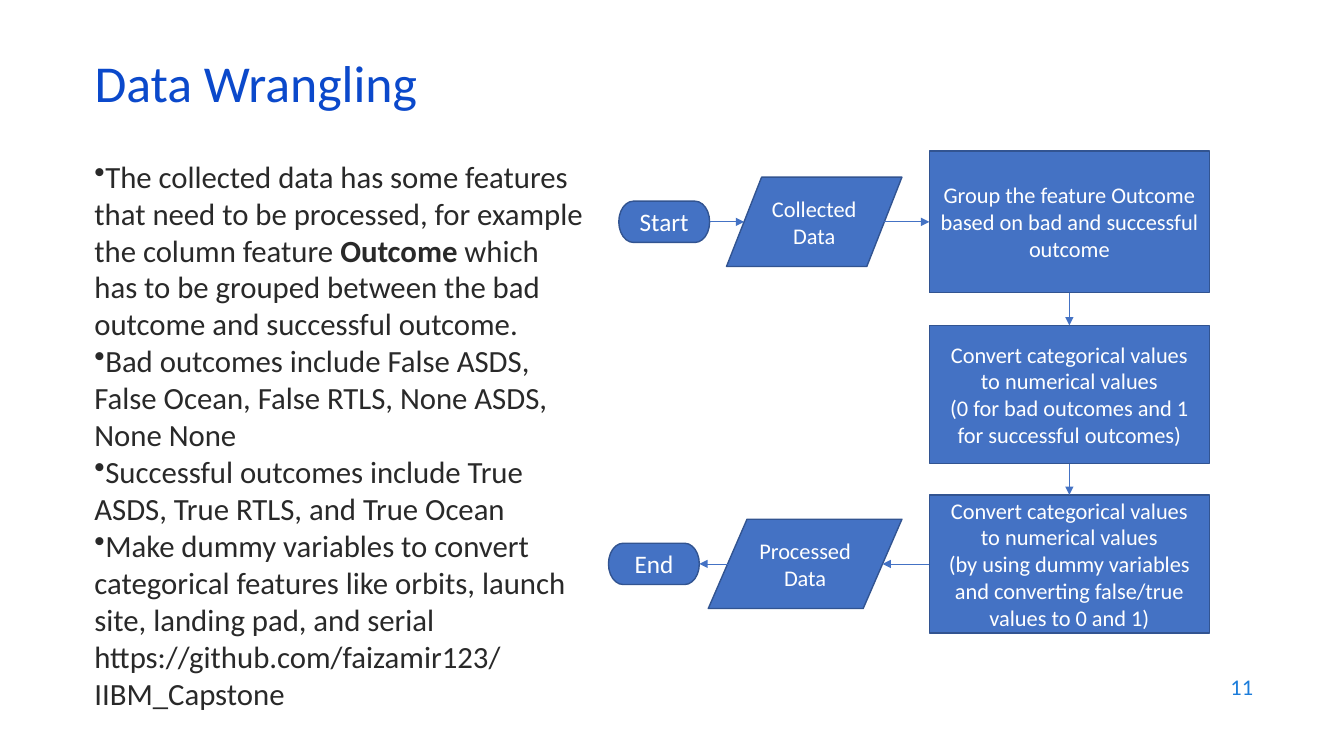
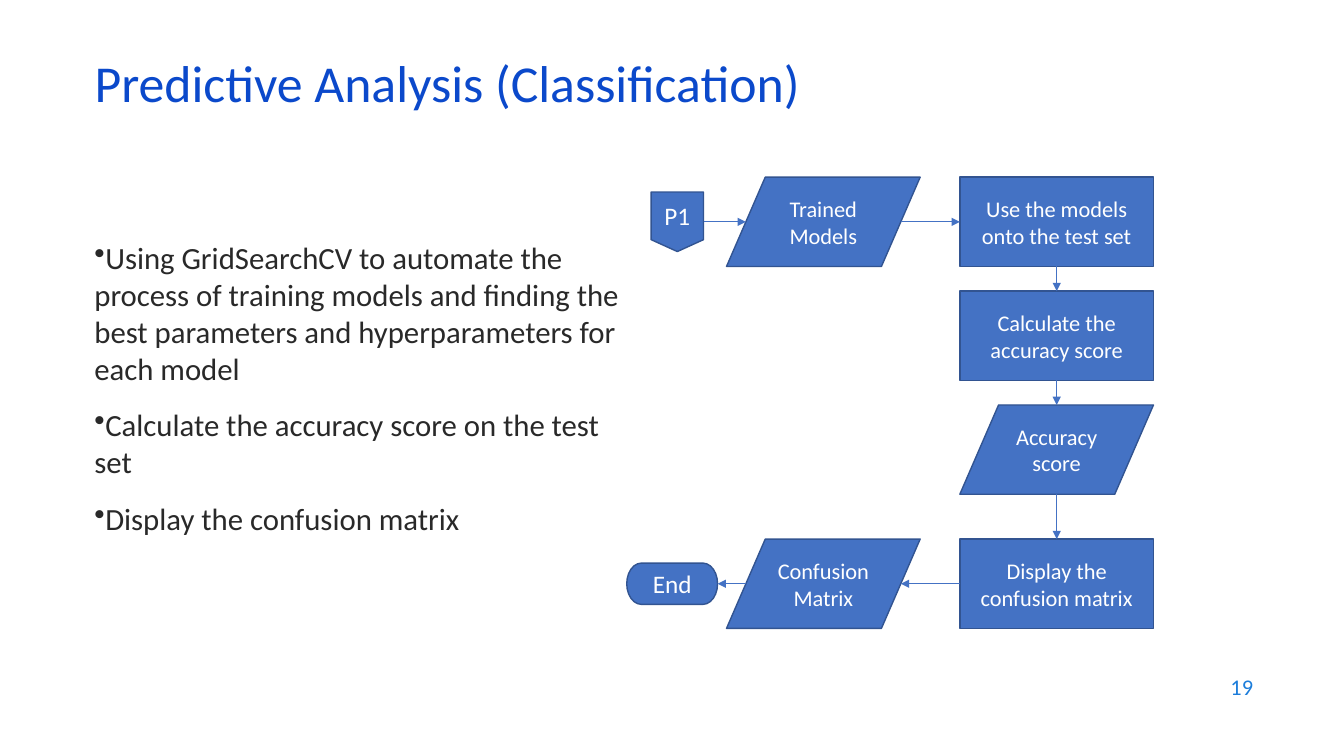
from pptx import Presentation
from pptx.dml.color import RGBColor
from pptx.enum.shapes import MSO_CONNECTOR, MSO_SHAPE
from pptx.enum.text import MSO_ANCHOR, MSO_AUTO_SIZE, PP_ALIGN
from pptx.oxml.ns import qn
from pptx.util import Cm, Pt
from lxml import etree

TERMINATOR = MSO_SHAPE.FLOWCHART_TERMINATOR
DATA = MSO_SHAPE.FLOWCHART_DATA
PROCESS = MSO_SHAPE.FLOWCHART_PROCESS
OFFPAGE = MSO_SHAPE.FLOWCHART_OFFPAGE_CONNECTOR
STRAIGHT = MSO_CONNECTOR.STRAIGHT
MIDDLE, TOP = MSO_ANCHOR.MIDDLE, MSO_ANCHOR.TOP
LEFT, CENTER, RIGHT = PP_ALIGN.LEFT, PP_ALIGN.CENTER, PP_ALIGN.RIGHT
NO_AUTOFIT = MSO_AUTO_SIZE.NONE

TITLE_BLUE = RGBColor(0x0B, 0x49, 0xCB)
NUMBER_BLUE = RGBColor(0x1C, 0x7D, 0xDB)
BODY_GREY = RGBColor(0x29, 0x29, 0x29)
NODE_BLUE = RGBColor(0x44, 0x72, 0xC4)
NODE_EDGE = RGBColor(0x32, 0x54, 0x91)
WHITE = RGBColor(0xFF, 0xFF, 0xFF)

FONT = "Calibri"
TITLE_FONT = {"name": FONT, "size": Pt(37), "color": TITLE_BLUE}
BODY_FONT = {"name": FONT, "size": Pt(22), "color": BODY_GREY}
NUMBER_FONT = {"name": FONT, "size": Pt(16), "color": NUMBER_BLUE}
STEP_FONT = {"name": FONT, "size": Pt(16), "color": WHITE}
END_FONT = {"name": FONT, "size": Pt(18), "color": WHITE}

# Boxes are left, top, width, height in centimetres
TITLE_BOX = (2.13, 1.5, 29.21, 1.52)
NUMBER_BOX = (24.21, 16.74, 7.62, 1.12)

PILL = (2.29, 1.04)
STEP = (4.88, 2.25)
TOP_ROW = 5.59

# Each flow lists its steps in order: kind, centre, size, text lines
SLIDES = [
    {
        "title": "Data Wrangling",
        "number": "11",
        "body_box": (2.13, 3.84, 12.95, 14.45),
        "gap": Pt(0),
        "bullets": [
            ["The collected data has some features that need to be processed, "
             "for example the column feature ", ("Outcome ",),
             "which has to be grouped between the bad outcome and successful outcome."],
            ["Bad outcomes include False ASDS, False Ocean, False RTLS, None ASDS, None None"],
            ["Successful outcomes include True ASDS, True RTLS, and True Ocean"],
            ["Make dummy variables to convert categorical features like orbits, "
             "launch site, landing pad, and serial"],
        ],
        "link": "https://github.com/faizamir123/IIBM_Capstone",
        "flow": [
            (TERMINATOR, (16.74, TOP_ROW), PILL, ["Start"]),
            (DATA, (20.52, TOP_ROW), (4.42, 2.25), ["Collected Data"]),
            (PROCESS, (26.95, TOP_ROW), (7.06, 3.57),
             ["Group the feature Outcome based on bad and successful outcome"]),
            (PROCESS, (26.95, 9.94), (7.06, 3.48),
             ["Convert categorical values to numerical values",
              "(0 for bad outcomes and 1 for successful outcomes)"]),
            (PROCESS, (26.95, 14.21), (7.06, 3.48),
             ["Convert categorical values to numerical values",
              "(by using dummy variables and converting false/true values to 0 and 1)"]),
            (DATA, (20.29, 14.21), STEP, ["Processed Data"]),
            (TERMINATOR, (16.48, 14.21), PILL, ["End"]),
        ],
    },
    {
        "title": "Predictive Analysis (Classification)",
        "number": "19",
        "body_box": (2.13, 5.89, 14.12, 8.64),
        "gap": Pt(14),
        "bullets": [
            ["Using GridSearchCV to automate the process of training models and "
             "finding the best parameters and hyperparameters for each model"],
            ["Calculate the accuracy score on the test set"],
            ["Display the confusion matrix"],
        ],
        "link": None,
        "flow": [
            (OFFPAGE, (17.07, TOP_ROW), (1.32, 1.5), ["P1"]),
            (DATA, (20.75, TOP_ROW), STEP, ["Trained Models"]),
            (PROCESS, (26.63, TOP_ROW), STEP, ["Use the models onto the test set"]),
            (PROCESS, (26.63, 8.46), STEP, ["Calculate the accuracy score"]),
            (DATA, (26.63, 11.33), STEP, ["Accuracy score"]),
            (PROCESS, (26.63, 14.71), STEP, ["Display the confusion matrix"]),
            (DATA, (20.75, 14.71), STEP, ["Confusion Matrix"]),
            (TERMINATOR, (16.94, 14.71), PILL, ["End"]),
        ],
    },
]


def add_run(paragraph, text, font_format, bold=False):
    run = paragraph.add_run()
    run.text = text
    run.font.bold = bold
    for name, value in font_format.items():
        if name == "color":
            run.font.color.rgb = value
        else:
            setattr(run.font, name, value)


def next_paragraph(frame, index):
    return frame.add_paragraph() if index else frame.paragraphs[0]


def add_text_box(slide, box, anchor):
    frame = slide.shapes.add_textbox(*map(Cm, box)).text_frame
    frame.word_wrap = True
    frame.vertical_anchor = anchor
    return frame


def set_title(slide, text):
    title = slide.shapes.title
    for name, value in zip(("left", "top", "width", "height"), TITLE_BOX):
        setattr(title, name, Cm(value))
    frame = title.text_frame
    frame.auto_size = NO_AUTOFIT
    frame.vertical_anchor = MIDDLE
    paragraph = frame.paragraphs[0]
    paragraph.alignment = LEFT
    paragraph.line_spacing = 0.7
    add_run(paragraph, text, TITLE_FONT)


def add_number(slide, number):
    paragraph = add_text_box(slide, NUMBER_BOX, MIDDLE).paragraphs[0]
    paragraph.alignment = RIGHT
    add_run(paragraph, number, NUMBER_FONT)


def add_body(slide, content):
    frame = add_text_box(slide, content["body_box"], TOP)
    for index, parts in enumerate(content["bullets"]):
        paragraph = next_paragraph(frame, index)
        paragraph.space_before = content["gap"] if index else Pt(0)
        properties = paragraph._p.get_or_add_pPr()
        etree.SubElement(properties, qn("a:buChar"), char="•")
        for part in parts:
            bold = isinstance(part, tuple)
            add_run(paragraph, part[0] if bold else part, BODY_FONT, bold)
    if content["link"]:
        add_run(frame.add_paragraph(), content["link"], BODY_FONT)


def add_step(slide, kind, centre, size, lines):
    left, top = (middle - length / 2 for middle, length in zip(centre, size))
    shape = slide.shapes.add_shape(kind, *map(Cm, (left, top, *size)))
    shape.shadow.inherit = False
    shape.fill.solid()
    shape.fill.fore_color.rgb = NODE_BLUE
    shape.line.color.rgb = NODE_EDGE
    shape.line.width = Pt(1)
    frame = shape.text_frame
    frame.word_wrap = True
    frame.vertical_anchor = MIDDLE
    for index, line in enumerate(lines):
        paragraph = next_paragraph(frame, index)
        paragraph.alignment = CENTER
        add_run(paragraph, line, STEP_FONT if kind in (DATA, PROCESS) else END_FONT)


def edge_point(step, other):
    """Return where the straight line from step towards other leaves its outline."""
    kind, (x, y), (width, height), _ = step
    other_x, other_y = other[1]
    if x == other_x:
        return x, y + (height / 2 if other_y > y else -height / 2)
    reach = width * (0.4 if kind == DATA else 0.5)
    return x + (reach if other_x > x else -reach), y


def add_arrow(slide, step, following):
    ends = edge_point(step, following) + edge_point(following, step)
    arrow = slide.shapes.add_connector(STRAIGHT, *map(Cm, ends))
    arrow.line.color.rgb = NODE_BLUE
    arrow.line.width = Pt(0.5)
    etree.SubElement(arrow.line._get_or_add_ln(), qn("a:tailEnd"), type="triangle")
    etree.SubElement(arrow._element.spPr, qn("a:effectLst"))


def main():
    presentation = Presentation()
    presentation.slide_width = Cm(33.87)
    presentation.slide_height = Cm(19.05)
    title_only = presentation.slide_layouts[5]
    for content in SLIDES:
        slide = presentation.slides.add_slide(title_only)
        set_title(slide, content["title"])
        add_number(slide, content["number"])
        add_body(slide, content)
        flow = content["flow"]
        for step in flow:
            add_step(slide, *step)
        for step, following in zip(flow, flow[1:]):
            add_arrow(slide, step, following)
    presentation.save("out.pptx")


if __name__ == "__main__":
    main()
